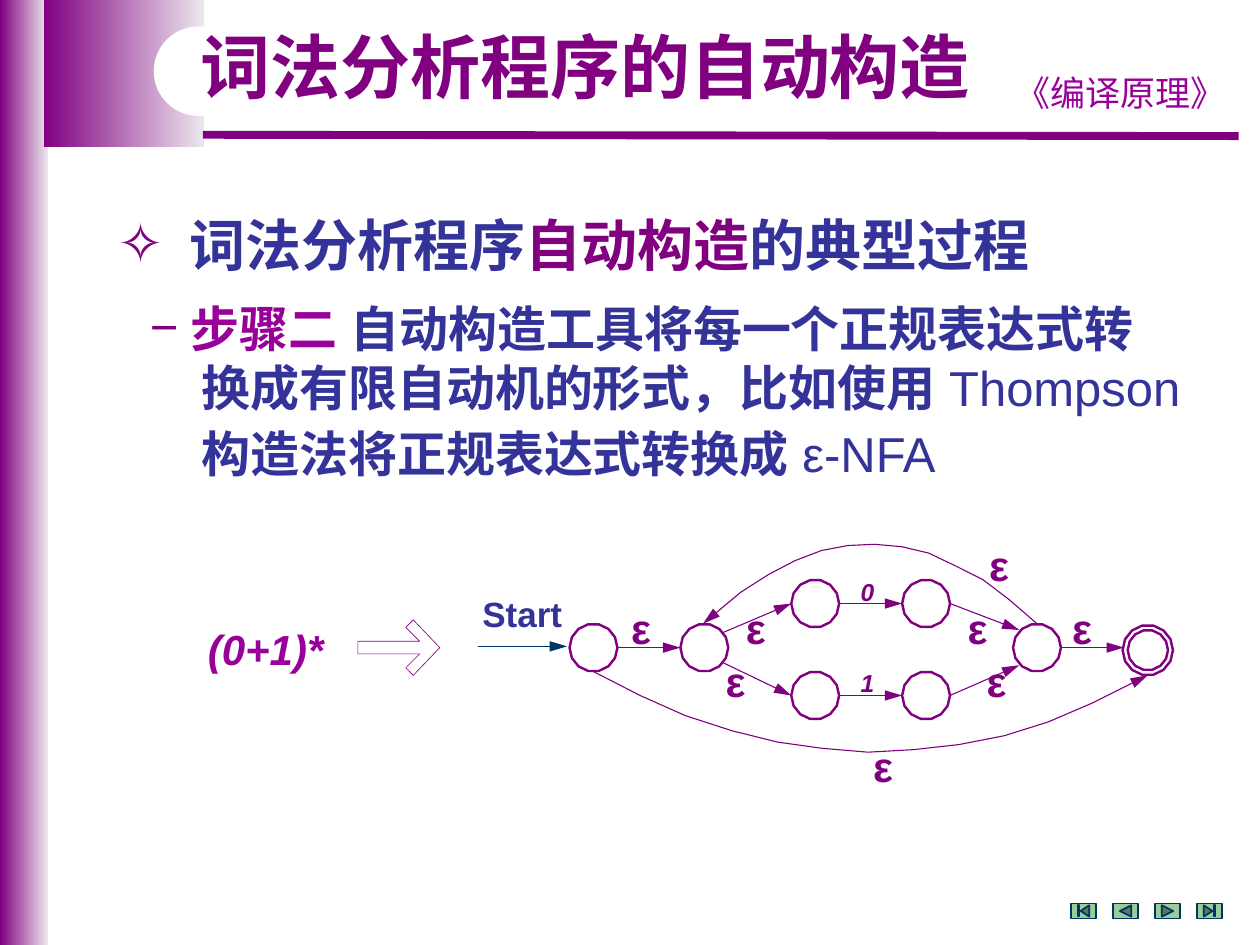
import math
from lxml import etree
from pptx import Presentation
from pptx.dml.color import RGBColor
from pptx.enum.shapes import MSO_CONNECTOR, MSO_SHAPE
from pptx.enum.text import MSO_ANCHOR, MSO_AUTO_SIZE, PP_ALIGN
from pptx.oxml.ns import qn
from pptx.util import Inches, Pt

STRAIGHT = MSO_CONNECTOR.STRAIGHT
RECT, ROUND = MSO_SHAPE.RECTANGLE, MSO_SHAPE.ROUNDED_RECTANGLE
FIRST, BACK = MSO_SHAPE.ACTION_BUTTON_BEGINNING, MSO_SHAPE.ACTION_BUTTON_BACK_OR_PREVIOUS
NEXT, LAST = MSO_SHAPE.ACTION_BUTTON_FORWARD_OR_NEXT, MSO_SHAPE.ACTION_BUTTON_END
TOP, MIDDLE = MSO_ANCHOR.TOP, MSO_ANCHOR.MIDDLE
LEFT, CENTER = PP_ALIGN.LEFT, PP_ALIGN.CENTER
NO_FIT = MSO_AUTO_SIZE.NONE

COLORS = {"plum": "800080", "pale": "EDE7ED", "violet": "990099", "indigo": "333399",
          "navy": "003366", "green": "99CC99", "white": "FFFFFF"}
LATIN, HAN = "Arial", "Noto Sans CJK SC"


class Deck:
    """Holds the style and the current slide."""

    def __init__(self):
        self.deck = Presentation()
        self.deck.slide_width, self.deck.slide_height = Inches(10), Inches(7.5)
        self.slide = self.deck.slides.add_slide(self.deck.slide_layouts[1])
        self.shapes = self.slide.shapes

    def color(self, name):
        return RGBColor.from_string(COLORS[name])

    def paint(self, shape, fill=None, line=None, width=1):
        shape.shadow.inherit = False
        if fill:
            shape.fill.solid()
            shape.fill.fore_color.rgb = self.color(fill)
        else:
            shape.fill.background()
        if line:
            shape.line.color.rgb = self.color(line)
            shape.line.width = Pt(width)
        else:
            shape.line.fill.background()

    def shape(self, kind, box, **look):
        shape = self.shapes.add_shape(kind, *map(Inches, box))
        self.paint(shape, **look)
        return shape

    def fade(self, box):
        shape = self.shape(RECT, box)
        shape.fill.gradient()
        shape.fill.gradient_angle = 0
        for stop, name, place in zip(shape.fill.gradient_stops, ("plum", "pale"), (0, 1)):
            stop.color.rgb = self.color(name)
            stop.position = place

    def head(self, shape):
        line = shape.element.spPr.find(qn("a:ln"))
        etree.SubElement(line, qn("a:tailEnd"), type="triangle", w="med", len="lg")

    def line(self, start, end, name="plum", width=0.63, arrow=True):
        line = self.shapes.add_connector(STRAIGHT, *map(Inches, (*start, *end)))
        line.line.color.rgb = self.color(name)
        line.line.width = Pt(width)
        if arrow:
            self.head(line)
        etree.SubElement(line.element.spPr, qn("a:effectLst"))

    def outline(self, points, width, close=True, arrow=False):
        spots = [(Inches(x), Inches(y)) for x, y in points]
        form = self.shapes.build_freeform(*spots[0])
        form.add_line_segments(spots[1:], close=close)
        shape = form.convert_to_shape()
        self.paint(shape, line="plum", width=width)
        if arrow:
            self.head(shape)

    def ring(self, x, y, radius, sides=14):
        turns = [math.pi + 2 * math.pi * i / sides for i in range(sides)]
        self.outline([(x + radius * math.cos(t), y + radius * math.sin(t)) for t in turns], 1.38)

    def run(self, para, text, color, **font):
        run = para.add_run()
        run.text = text
        values = {"name": LATIN, "bold": True, **font}
        for key, value in values.items():
            setattr(run.font, key, Pt(value) if key == "size" else value)
        run.font.color.rgb = self.color(color)
        etree.SubElement(run.font._element, qn("a:ea"), typeface=values["name"])

    def text(self, box, text, color, align=LEFT, pad=0.0, wrap=False, **font):
        frame = self.shapes.add_textbox(*map(Inches, box)).text_frame
        frame.word_wrap = wrap
        frame.margin_left = frame.margin_right = Inches(pad)
        frame.margin_top = frame.margin_bottom = Inches(pad / 2)
        para = frame.paragraphs[0]
        para.alignment = align
        self.run(para, text, color, **font)

    def holder(self, index, box, anchor):
        """Move a placeholder to the front and return its text frame."""
        shape = self.slide.placeholders[index]
        shape.left, shape.top, shape.width, shape.height = map(Inches, box)
        shape.element.getparent().append(shape.element)
        frame = shape.text_frame
        for key, value in {"auto_size": NO_FIT, "word_wrap": True,
                           "vertical_anchor": anchor}.items():
            setattr(frame, key, value)
        return frame

    def title(self, box, text):
        para = self.holder(0, box, MIDDLE).paragraphs[0]
        para.alignment, para.line_spacing = CENTER, 0.9
        self.run(para, text, "plum", size=40, name=HAN)

    def body(self, box, items):
        frame = self.holder(1, box, TOP)
        for i, (level, size, before, margin, indent, bullet, runs) in enumerate(items):
            para = frame.add_paragraph() if i else frame.paragraphs[0]
            para.level, para.space_before, para.space_after = level, Pt(before), Pt(0)
            para.alignment = LEFT
            props = para._p.get_or_add_pPr()
            props.set("marL", str(Inches(margin)))
            props.set("indent", str(Inches(indent)))
            if bullet:
                tint = etree.SubElement(props, qn("a:buClr"))
                etree.SubElement(tint, qn("a:srgbClr"), val=COLORS["plum"])
                etree.SubElement(props, qn("a:buFont"), typeface=LATIN)
                etree.SubElement(props, qn("a:buChar"), char=bullet)
            else:
                etree.SubElement(props, qn("a:buNone"))
            for text, color, bold in runs:
                self.run(para, text, color, size=size, bold=bold)


def main():
    d = Deck()

    # Frame of the page
    d.fade((0, 0, 0.38, 7.5))
    d.fade((0.35, 0, 1.27, 1.17))
    d.line((1.61, 1.07), (9.83, 1.08), width=4.5, arrow=False)
    d.text((7.91, 0.52, 1.97, 0.43), "《编译原理》", "violet", CENTER, 0.1, True,
           size=20, name=HAN, bold=False)
    d.shape(ROUND, (1.22, 0.21, 3.62, 0.71), fill="white").adjustments[0] = 0.5
    for i, kind in enumerate((FIRST, BACK, NEXT, LAST)):
        d.shape(kind, (8.5 + i / 3, 7.17, 0.2, 0.12), fill="green", line="navy")

    # Title and list
    d.title((1.38, 0.21, 6.53, 0.7), "词法分析程序的自动构造")
    d.body((0.83, 1.62, 8.98, 2.27), [
        (0, 32, 0, 0.57, -0.57, "✧", [("词法分析程序", "indigo", True),
                                      ("自动构造", "plum", True),
                                      ("的典型过程", "indigo", True)]),
        (1, 28, 12, 0.58, -0.32, "−", [("步骤二", "violet", True),
                                       (" 自动构造工具将每一个正规表达式转", "indigo", True)]),
        (1, 28, 0, 0.67, 0, None, [("换成有限自动机的形式，比如使用 ", "indigo", True),
                                   ("Thompson", "indigo", False)]),
        (1, 28, 4, 0.67, 0, None, [("构造法将正规表达式转换成 ", "indigo", True),
                                   ("ε-NFA", "indigo", False)]),
    ])

    # Regular expression and block arrow
    d.text((1.65, 4.95, 1.1, 0.4), "(0+1)*", "violet", size=24, italic=True)
    mid = 5.14
    upper = [(3.28, 0.22), (3.22, 0.16), (3.33, 0.05), (2.84, 0.05)]
    d.outline([(3.49, mid)] + [(x, mid - h) for x, h in upper]
              + [(x, mid + h) for x, h in reversed(upper)], 0.38)

    # States
    cols = [4.71 + 0.88 * i for i in range(6)]
    rad, high, low = 0.19, 4.79, 5.52
    for col, row in ((0, mid), (1, mid), (2, high), (3, high), (2, low), (3, low), (4, mid)):
        d.ring(cols[col], row, rad)
    for size in (0.16, 0.2):
        d.ring(cols[5], 5.16, size)

    # Moves between states
    d.text((3.73, 4.65, 0.84, 0.44), "Start", "indigo", pad=0.1, size=20)
    d.line((3.79, 5.13), (4.5, 5.13), "navy", 1)
    for col, row in ((0, mid), (2, high), (2, low), (4, mid)):
        d.line((cols[col] + rad, row), (cols[col + 1] - rad, row))
    for row, side in ((high, -1), (low, 1)):
        d.line((cols[1] + 0.15, mid + 0.12 * side), (cols[2] - rad, row))
        d.line((cols[3] + rad, row), (cols[4] - 0.14, mid + 0.14 * side))
    d.outline([(8.23, 4.95), (8.01, 4.76), (7.8, 4.6), (7.58, 4.49), (7.37, 4.39),
               (7.16, 4.34), (6.94, 4.32), (6.73, 4.33), (6.52, 4.37), (6.31, 4.45),
               (6.1, 4.56), (5.88, 4.7), (5.58, 4.95)], 0.63, False, True)
    d.outline([(4.71, 5.33), (5.08, 5.52), (5.44, 5.68), (5.81, 5.8), (6.17, 5.89),
               (6.53, 5.94), (6.89, 5.97), (7.25, 5.95), (7.61, 5.91), (7.97, 5.84),
               (8.32, 5.73), (8.67, 5.58), (9.11, 5.36)], 0.63, False, True)

    # Labels of the moves
    for digit, y in (("0", 4.58), ("1", 5.3)):
        d.text((6.83, y, 0.2, 0.28), digit, "plum", size=14, italic=True)
    for x, y in ((6.93, 5.88), (5.01, 4.78), (8.51, 4.78), (7.85, 4.28),
                 (5.76, 5.2), (5.92, 4.78), (7.83, 5.2), (7.68, 4.78)):
        d.text((x, y, 0.18, 0.5), "ε", "plum", size=24)

    d.deck.save("out.pptx")


if __name__ == "__main__":
    main()
